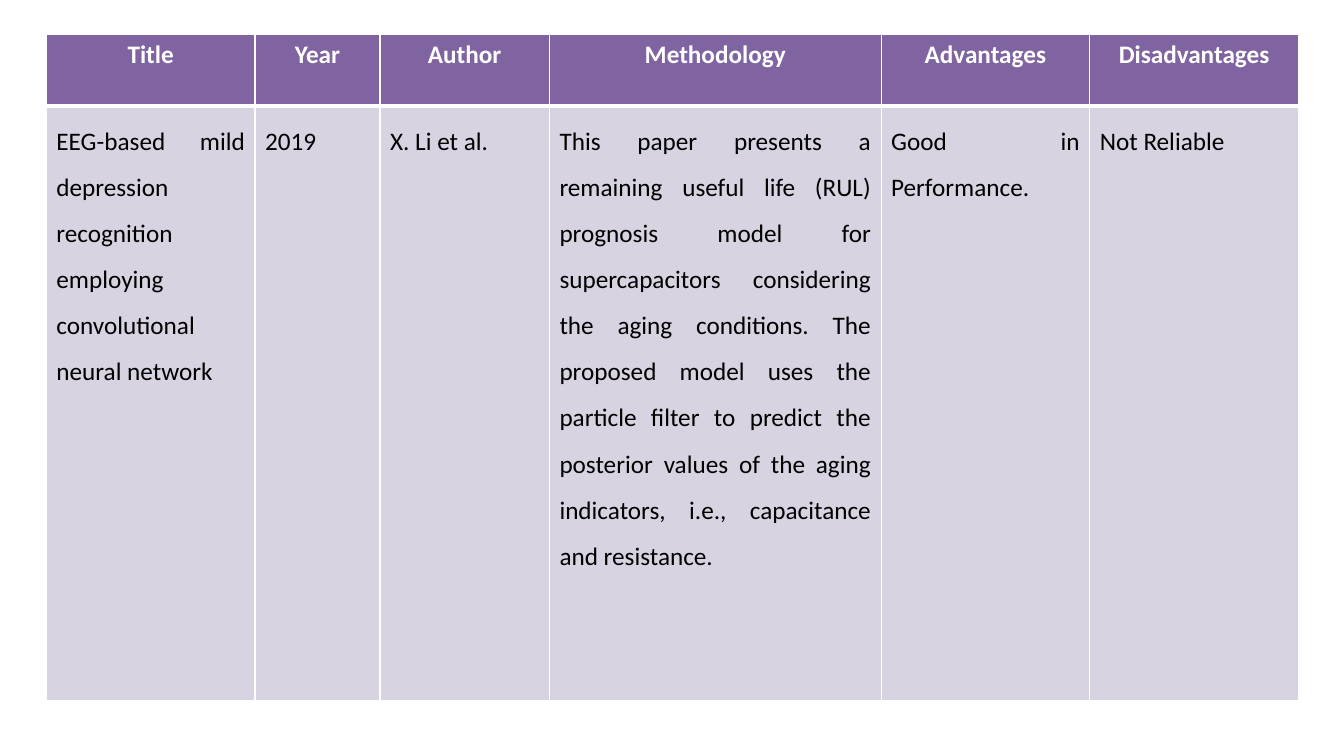
from lxml import etree
from pptx import Presentation
from pptx import util as u
from pptx.dml.color import RGBColor
from pptx.enum import text
from pptx.oxml import ns

# Content: heading, column width in inches, entry
COLUMNS = [
    ("Title", 2.07, "EEG-based mild depression recognition employing "
                    "convolutional neural network"),
    ("Year", 1.24, "2019"),
    ("Author", 1.68, "X. Li et al."),
    ("Methodology", 3.29,
     "This paper presents a remaining useful life (RUL) prognosis model for "
     "supercapacitors considering the aging conditions. The proposed model "
     "uses the particle filter to predict the posterior values of the aging "
     "indicators, i.e., capacitance and resistance."),
    ("Advantages", 2.07, "Good in Performance."),
    ("Disadvantages", 2.07, "Not Reliable"),
]
COLORS = {"header": "8064A2", "body": "D8D3E0", "border": "FFFFFF",
          "header_text": "FFFFFF", "body_text": "000000"}
LEFT, TOP = 0.46, 0.34
ROW_HEIGHTS = (0.71, 5.9)
HEADER_STYLE = dict(fill="header", color="header_text", bold=True,
                    align=text.PP_ALIGN.CENTER, spacing=1.0, bottom=3)
BODY_STYLE = dict(fill="body", color="body_text", bold=False,
                  align=text.PP_ALIGN.JUSTIFY, spacing=1.5, bottom=1)


def add_borders(cell, bottom):
    properties = cell._tc.get_or_add_tcPr()
    for side, width in (("L", 1), ("R", 1), ("T", 1), ("B", bottom)):
        line = etree.SubElement(properties, ns.qn(f"a:ln{side}"),
                                w=str(u.Pt(width)))
        fill = etree.SubElement(line, ns.qn("a:solidFill"))
        etree.SubElement(fill, ns.qn("a:srgbClr"), val=COLORS["border"])


def write_cell(cell, content, *, fill, color, bold, align, spacing, bottom):
    add_borders(cell, bottom)  # borders come before the fill in the XML
    cell.fill.solid()
    cell.fill.fore_color.rgb = RGBColor.from_string(COLORS[fill])
    paragraph = cell.text_frame.paragraphs[0]
    paragraph.alignment = align
    paragraph.line_spacing = spacing
    run = paragraph.add_run()
    run.text = content
    run.font.name = "Calibri"
    run.font.size = u.Pt(18)
    run.font.bold = bold
    run.font.color.rgb = RGBColor.from_string(COLORS[color])


presentation = Presentation()
presentation.slide_width = u.Inches(13.33)
presentation.slide_height = u.Inches(7.5)
slide = presentation.slides.add_slide(presentation.slide_layouts[6])

# Literature table
total_width = sum(width for _, width, _ in COLUMNS)
table = slide.shapes.add_table(
    len(ROW_HEIGHTS), len(COLUMNS), u.Inches(LEFT), u.Inches(TOP),
    u.Inches(total_width), u.Inches(sum(ROW_HEIGHTS))).table
for row, height in zip(table.rows, ROW_HEIGHTS):
    row.height = u.Inches(height)
for index, (heading, width, entry) in enumerate(COLUMNS):
    table.columns[index].width = u.Inches(width)
    write_cell(table.cell(0, index), heading, **HEADER_STYLE)
    write_cell(table.cell(1, index), entry, **BODY_STYLE)

presentation.save("out.pptx")
